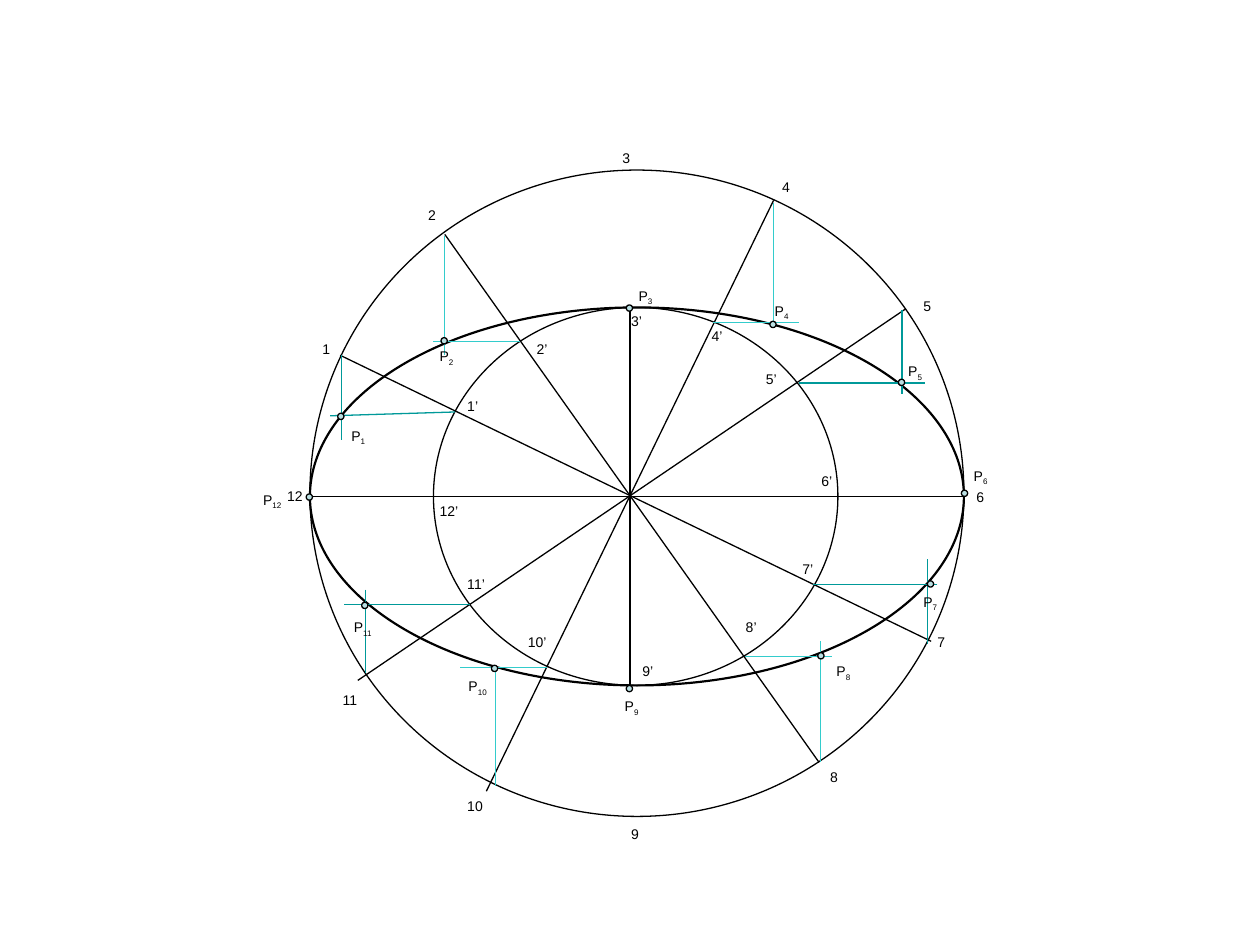
from lxml.etree import SubElement
from pptx import Presentation
from pptx.dml.color import RGBColor
from pptx.enum.shapes import MSO_CONNECTOR as Connector, MSO_SHAPE as Preset
from pptx.enum.text import MSO_AUTO_SIZE as AutoSize
from pptx.oxml.ns import qn
from pptx.util import Emu, Pt

BLACK = RGBColor(0x00, 0x00, 0x00)
WHITE = RGBColor(0xFF, 0xFF, 0xFF)
PALE_BLUE = RGBColor(0xBB, 0xE0, 0xE3)
TEAL = RGBColor(0x00, 0x99, 0x99)
TURQUOISE = RGBColor(0x33, 0xCC, 0xCC)

EMU_PER_PX = 9144
SLIDE_SIZE = (1000, 750)
MARKER_SIZE = 5

WIDE_LABELS = {10: 38, 11: 42, 12: 44}

CURVES = [
    ((246, 244, 519, 300), 1.25, WHITE),
    ((246, 135, 519, 513), 0.75, None),
    ((344, 244, 321, 300), 0.75, None),
]

DIAMETERS = [
    (246, 394, 765, 394),
    (500, 244, 500, 544),
    (353, 186, 650, 605),
    (270, 282, 739, 509),
    (284, 540, 719, 245),
    (614, 159, 386, 628),
]

PROJECTIONS = {
    TEAL: [
        (271, 282, 271, 349), (361, 327, 262, 330),
        (716, 246, 716, 313), (734, 304, 634, 304),
        (736, 444, 736, 511), (744, 464, 645, 464),
        (290, 468, 290, 534), (373, 480, 273, 480),
    ],
    TURQUOISE: [
        (353, 187, 353, 282), (413, 271, 344, 271),
        (614, 161, 614, 256), (634, 256, 566, 256),
        (651, 509, 651, 605), (660, 521, 591, 521),
        (393, 528, 393, 624), (434, 530, 365, 530),
    ],
}

# number: outer label, inner label, point label, marker
DIVISIONS = {
    1: ((246, 265), (361, 311), (269, 334), (268, 328)),
    2: ((330, 159), (416, 265), (339, 271), (350, 268)),
    3: ((484, 114), (491, 243), (497, 223), (497, 242)),
    4: ((611, 137), (555, 255), (605, 235), (611, 255)),
    5: ((723, 231), (598, 289), (711, 283), (713, 301)),
    6: ((765, 383), (642, 370), (763, 366), (763, 389)),
    7: ((734, 498), (627, 440), (723, 466), (736, 461)),
    8: ((649, 605), (582, 486), (654, 521), (649, 518)),
    9: ((491, 650), (500, 521), (486, 549), (497, 544)),
    10: ((361, 628), (409, 498), (362, 533), (390, 528)),
    11: ((262, 544), (361, 452), (271, 486), (287, 478)),
    12: ((218, 382), (339, 394), (199, 385), (243, 392)),
}


def emu(*lengths):
    return [Emu(length * EMU_PER_PX) for length in lengths]


class Drawing:
    font_format = {"name": "Arial", "size": Pt(8)}
    frame_format = {"word_wrap": True, "auto_size": AutoSize.SHAPE_TO_FIT_TEXT}

    def __init__(self, page):
        self.page = page

    def stroke(self, line, color, width):
        line.color.rgb = color
        line.width = Pt(width)

    def ellipse(self, bounds, width=0.75, fill=None):
        shape = self.page.shapes.add_shape(Preset.OVAL, *emu(*bounds))
        shape.shadow.inherit = False
        if fill is None:
            shape.fill.background()
        else:
            shape.fill.solid()
            shape.fill.fore_color.rgb = fill
        self.stroke(shape.line, BLACK, width)

    def line(self, ends, color=BLACK):
        connector = self.page.shapes.add_connector(Connector.STRAIGHT, *emu(*ends))
        SubElement(connector._element.spPr, qn("a:effectLst"))
        self.stroke(connector.line, color, 0.75)

    def label(self, position, width, height, text, subscript=""):
        box = self.page.shapes.add_textbox(*emu(*position, width, height))
        for name, value in self.frame_format.items():
            setattr(box.text_frame, name, value)
        para = box.text_frame.paragraphs[0]
        for content in filter(None, (text, subscript)):
            span = para.add_run()
            span.text = content
            for name, value in self.font_format.items():
                setattr(span.font, name, value)
            span.font.color.rgb = BLACK
        if subscript:
            span._r.get_or_add_rPr().set("baseline", "-25000")


def main():
    deck = Presentation()
    deck.slide_width, deck.slide_height = emu(*SLIDE_SIZE)
    drawing = Drawing(deck.slides.add_slide(deck.slide_layouts[6]))

    for bounds, width, fill in CURVES:
        drawing.ellipse(bounds, width, fill)
    for ends in DIAMETERS:
        drawing.line(ends)
    for color, segments in PROJECTIONS.items():
        for ends in segments:
            drawing.line(ends, color)
    for number, (outer, inner, point, marker) in DIVISIONS.items():
        width = WIDE_LABELS.get(number, 31)
        drawing.label(outer, width, 24, f"{number}")
        drawing.label(inner, width, 24, f"{number}’")
        drawing.label(point, 37 if number > 9 else 33, 25, "P", f"{number}")
        drawing.ellipse((*marker, MARKER_SIZE, MARKER_SIZE), fill=PALE_BLUE)

    deck.save("out.pptx")


if __name__ == "__main__":
    main()
